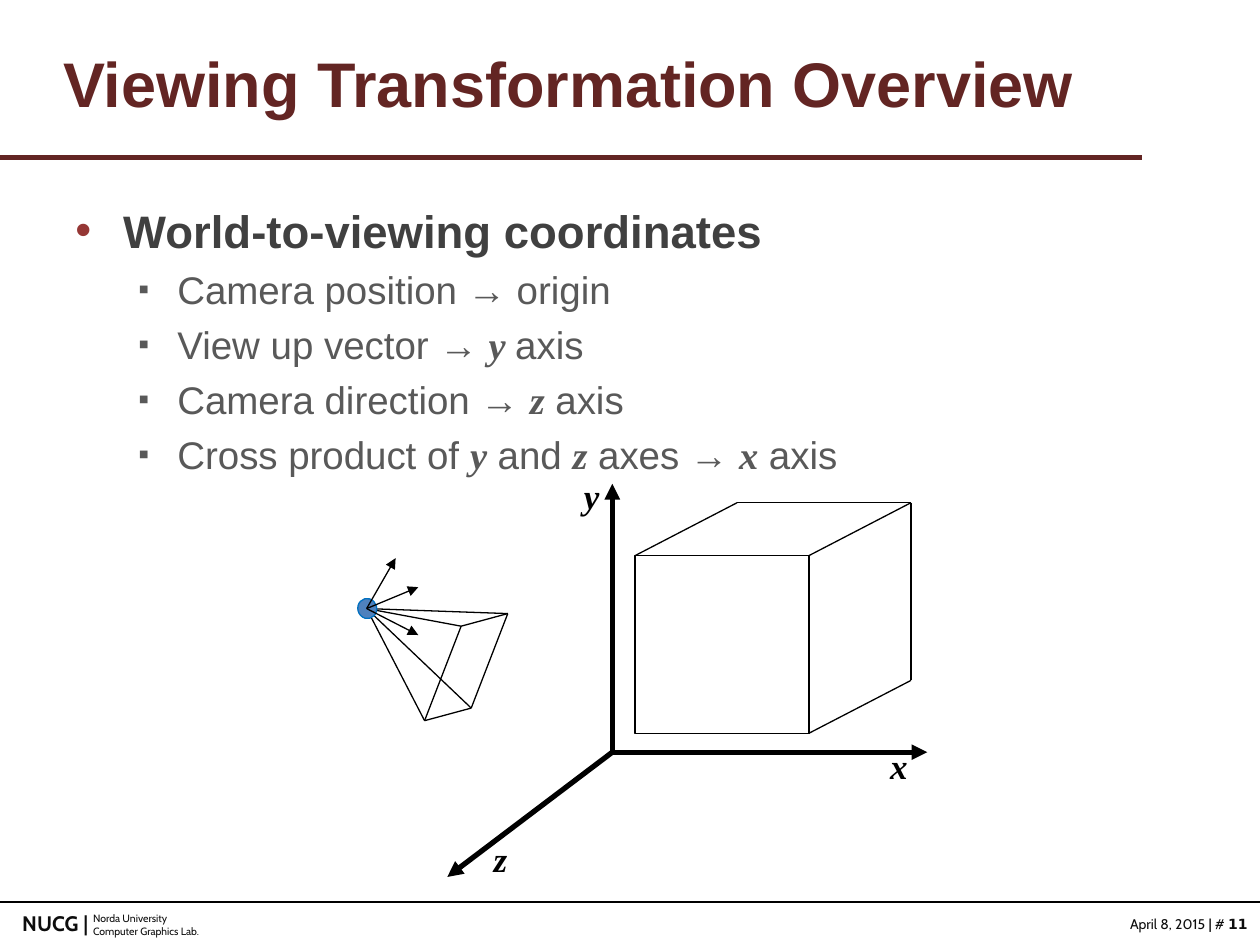
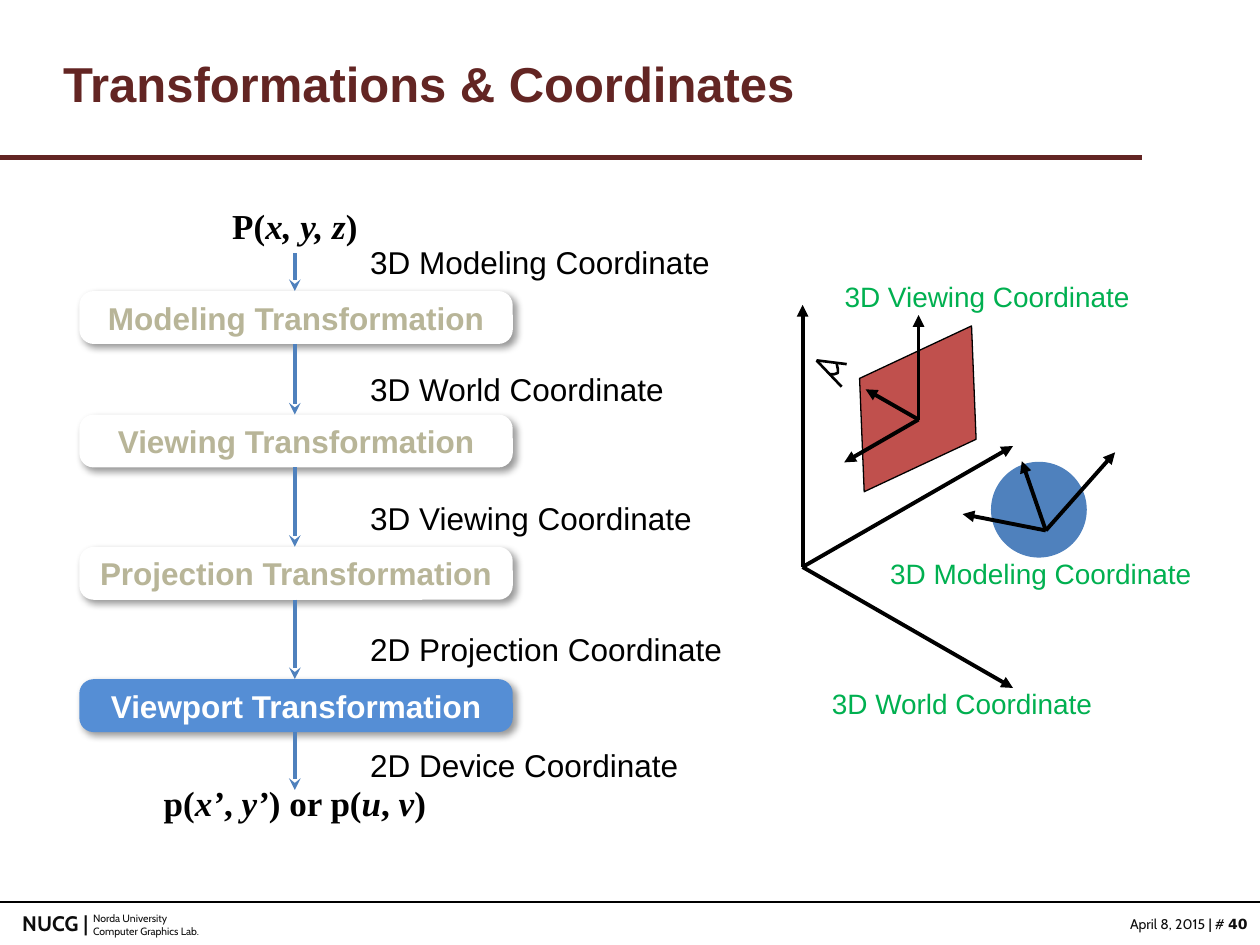
from dataclasses import dataclass, replace
from itertools import pairwise
from typing import NamedTuple

from lxml import etree
from pptx import Presentation
from pptx.dml.color import RGBColor
from pptx.enum.shapes import MSO_CONNECTOR, MSO_SHAPE
from pptx.enum.text import MSO_ANCHOR, PP_ALIGN
from pptx.oxml.ns import qn
from pptx.util import Inches, Pt

STRAIGHT = MSO_CONNECTOR.STRAIGHT
LEFT, CENTER, RIGHT = PP_ALIGN.LEFT, PP_ALIGN.CENTER, PP_ALIGN.RIGHT
MIDDLE = MSO_ANCHOR.MIDDLE

BLACK = RGBColor(0x00, 0x00, 0x00)
WHITE = RGBColor(0xFF, 0xFF, 0xFF)
MAROON = RGBColor(0x63, 0x25, 0x23)
BULLET_RED = RGBColor(0x95, 0x37, 0x35)
DARK_GRAY = RGBColor(0x40, 0x40, 0x40)
MID_GRAY = RGBColor(0x59, 0x59, 0x59)
FOOTER_INK = RGBColor(0x0D, 0x0D, 0x0D)
BLUE = RGBColor(0x4F, 0x81, 0xBD)
EYE_EDGE = RGBColor(0x00, 0x70, 0xC0)
ACTIVE_BLUE = RGBColor(0x55, 0x8E, 0xD5)
MUTED = RGBColor(0xB8, 0xB5, 0x98)
RED = RGBColor(0xC0, 0x50, 0x4D)
GREEN = RGBColor(0x00, 0xB0, 0x50)

Point = tuple[float, float]


class Box(NamedTuple):
    left: float
    top: float
    width: float
    height: float

    def emu(self) -> list[int]:
        return [Inches(v) for v in self]


@dataclass(frozen=True)
class Style:
    size: float
    color: RGBColor = BLACK
    font: str = "Arial"
    bold: bool = False
    italic: bool = False


@dataclass(frozen=True)
class Pen:
    width: float
    color: RGBColor = BLACK
    head: str = ""


class Bullet(NamedTuple):
    char: str
    color: RGBColor
    margin: float
    hanging: float
    percent: int
    space_before: float


class Stage(NamedTuple):
    name: str
    top: float
    fill: RGBColor = WHITE
    ink: RGBColor = MUTED


Runs = list[tuple[str, Style]]

MATH = Style(20, font="Times New Roman", bold=True)
MATH_VAR = replace(MATH, italic=True)
TOPIC = Style(26, DARK_GRAY, bold=True)
DETAIL = Style(22, MID_GRAY)
DETAIL_VAR = replace(MATH_VAR, size=22, color=MID_GRAY)
FOOTER = Style(8, FOOTER_INK, "Cabin")

TOPIC_BULLET = Bullet("•", BULLET_RED, 0.38, 0.38, 100, 3)
DETAIL_BULLET = Bullet("▪", MID_GRAY, 0.81, 0.31, 80, 5)

THIN = Pen(0.75)
THIN_ARROW = Pen(0.75, head="triangle")
AXIS = Pen(3, head="triangle")
FRAME_AXIS = Pen(2.25, head="triangle")
FLOW = Pen(2.25, BLUE, "stealth")
EYE_PEN = Pen(1.5)


# Text helpers
def write_runs(p, runs: Runs, align=LEFT) -> None:
    p.alignment = align
    for text, style in runs:
        r = p.add_run()
        r.text = text
        f = r.font
        f.size, f.name, f.bold, f.italic = Pt(style.size), style.font, style.bold, style.italic
        f.color.rgb = style.color


def alternate(parts: list[str], plain: Style, variable: Style) -> Runs:
    """Style every second part as a variable."""
    return [(part, variable if i % 2 else plain) for i, part in enumerate(parts)]


def add_text(slide, box: Box, *paragraphs: Runs, align=LEFT, wrap: bool = True,
             spacing: float = 1.0):
    tf = slide.shapes.add_textbox(*box.emu()).text_frame
    tf.word_wrap = wrap
    for i, runs in enumerate(paragraphs):
        p = tf.add_paragraph() if i else tf.paragraphs[0]
        write_runs(p, runs, align)
        if spacing != 1:
            p.line_spacing = spacing
    return tf


def set_bullet(p, bullet: Bullet) -> None:
    p.space_before = Pt(bullet.space_before)
    pPr = p._p.get_or_add_pPr()
    pPr.set("marL", str(Inches(bullet.margin)))
    pPr.set("indent", str(-Inches(bullet.hanging)))
    color = etree.SubElement(pPr, qn("a:buClr"))
    etree.SubElement(color, qn("a:srgbClr"), val=str(bullet.color))
    etree.SubElement(pPr, qn("a:buSzPct"), val=str(bullet.percent * 1000))
    etree.SubElement(pPr, qn("a:buFont"), typeface="Arial")
    etree.SubElement(pPr, qn("a:buChar"), char=bullet.char)


# Drawing helpers
def add_line(slide, start: Point, end: Point, pen: Pen) -> None:
    s = slide.shapes.add_connector(STRAIGHT, *[Inches(v) for v in (*start, *end)])
    s.line.color.rgb = pen.color
    s.line.width = Pt(pen.width)
    if pen.head:
        etree.SubElement(s.line._get_or_add_ln(), qn("a:tailEnd"), type=pen.head)
    etree.SubElement(s._element.spPr, qn("a:effectLst"))


def add_fan(slide, origin: Point, ends: list[Point], pen: Pen) -> None:
    for end in ends:
        add_line(slide, origin, end, pen)


def paint(s, fill: RGBColor | None, pen: Pen | None) -> None:
    s.shadow.inherit = False
    if fill is None:
        s.fill.background()
    else:
        s.fill.solid()
        s.fill.fore_color.rgb = fill
    if pen is None:
        s.line.fill.background()
    else:
        s.line.color.rgb = pen.color
        s.line.width = Pt(pen.width)


def add_shape(slide, kind, box: Box, fill: RGBColor | None, pen: Pen | None,
              rotation: float = 0, adjust: float | None = None):
    s = slide.shapes.add_shape(kind, *box.emu())
    paint(s, fill, pen)
    s.rotation = rotation
    if adjust is not None:
        s.adjustments[0] = adjust
    return s


def drop_shadow(s) -> None:
    effects = s._element.spPr.find(qn("a:effectLst"))
    shadow = etree.SubElement(effects, qn("a:outerShdw"), blurRad=str(Pt(4)),
                              dist=str(Pt(3)), dir=str(45 * 60000), algn="tl", rotWithShape="0")
    color = etree.SubElement(shadow, qn("a:srgbClr"), val=str(BLACK))
    etree.SubElement(color, qn("a:alpha"), val="40000")


# Shared title, rules and footer
def new_slide(prs, title: str, title_size: float, number: int):
    slide = prs.slides.add_slide(prs.slide_layouts[5])
    lab = replace(FOOTER, size=6)
    add_text(slide, Box(0.64, 7.19, 1.4, 0.3),
             [("Norda University", lab)], [("Computer Graphics Lab.", lab)])
    bold = replace(FOOTER, bold=True)
    add_text(slide, Box(8.5, 7.22, 1.5, 0.24),
             [("April 8, 2015 ", FOOTER), ("|", bold), (" # ", FOOTER),
              (str(number), replace(bold, font="DejaVu Sans"))], align=RIGHT)
    add_text(slide, Box(-0.04, 7.18, 0.84, 0.3), [("NUCG |", replace(bold, size=12))],
             align=RIGHT, wrap=False)
    add_line(slide, (0, 1.25), (9.06, 1.25), Pen(3, MAROON))
    add_line(slide, (0, 7.16), (10, 7.16), Pen(1))

    s = slide.shapes.title
    s.left, s.top, s.width, s.height = Box(0.3, 0.22, 9, 0.87).emu()
    tf = s.text_frame
    tf.margin_left = Inches(0.2)
    tf.vertical_anchor = MIDDLE
    write_runs(tf.paragraphs[0], [(title, Style(title_size, MAROON, bold=True))])
    return slide


# Slide: viewing transformation
def build_overview(prs) -> None:
    slide = new_slide(prs, "Viewing Transformation Overview", 36, 11)
    details = [
        ["Camera position → origin"],
        ["View up vector → ", "y ", "axis"],
        ["Camera direction → ", "z", " axis"],
        ["Cross product of ", "y", " and ", "z", " axes → ", "x", " axis"],
    ]
    tf = add_text(slide, Box(0.5, 1.56, 9, 5.31), [("World-to-viewing coordinates", TOPIC)],
                  *[alternate(parts, DETAIL, DETAIL_VAR) for parts in details])
    for i, p in enumerate(tf.paragraphs):
        set_bullet(p, DETAIL_BULLET if i else TOPIC_BULLET)

    # World axes
    add_fan(slide, (4.86, 5.97), [(4.86, 3.84), (7.36, 5.97), (3.55, 6.96)], AXIS)
    for name, left, top, align in [("x", 6.83, 5.86, CENTER), ("y", 4.39, 3.72, CENTER),
                                   ("z", 3.82, 6.6, LEFT)]:
        add_text(slide, Box(left, top, 0.61, 0.43), [(name, MATH_VAR)], align=align)

    # Cube: front face and receding edges
    front = Box(5.04, 4.41, 1.38, 1.41)
    add_shape(slide, MSO_SHAPE.RECTANGLE, front, None, THIN)
    right, bottom = front.left + front.width, front.top + front.height
    near = [(front.left, front.top), (right, front.top), (right, bottom)]
    far = [(x + 0.81, y - 0.42) for x, y in near]
    for start, end in [*zip(near, far), *pairwise(far)]:
        add_line(slide, start, end, THIN)

    # Camera and its view pyramid
    eye = (2.91, 4.83)
    base = [(3.37, 5.72), (3.66, 4.97), (4.03, 4.87), (3.74, 5.62)]
    add_fan(slide, eye, base, THIN)
    for start, end in pairwise([*base, base[0]]):
        add_line(slide, start, end, THIN)
    add_shape(slide, MSO_SHAPE.OVAL, Box(2.84, 4.75, 0.15, 0.16), BLUE, Pen(0.75, EYE_EDGE),
              rotation=345.5)
    add_fan(slide, eye, [(3.14, 4.43), (3.32, 5.04), (3.32, 4.66)], THIN_ARROW)


# Slide: pipeline and coordinate systems
def build_pipeline(prs) -> None:
    slide = new_slide(prs, "Transformations & Coordinates", 28, 40)
    stages = [
        Stage("Modeling Transformation", 2.31),
        Stage("Viewing Transformation", 3.29),
        Stage("Projection Transformation", 4.34),
        Stage("Viewport Transformation", 5.39, ACTIVE_BLUE, WHITE),
    ]
    stage_height = 0.42
    for stage in stages:
        s = add_shape(slide, MSO_SHAPE.ROUNDED_RECTANGLE,
                      Box(0.63, stage.top, 3.44, stage_height), stage.fill, None, adjust=0.27)
        drop_shadow(s)
        tf = s.text_frame
        tf.word_wrap = False
        tf.vertical_anchor = MIDDLE
        write_runs(tf.paragraphs[0], [(stage.name, Style(18, stage.ink, bold=True))], CENTER)

    # Coordinate systems in three dimensions
    add_fan(slide, (6.37, 4.5), [(6.37, 2.42), (8.04, 5.46), (8.04, 3.54)], FRAME_AXIS)
    add_shape(slide, MSO_SHAPE.OVAL, Box(7.87, 3.67, 0.75, 0.75), BLUE, Pen(0.75, BLUE))
    add_fan(slide, (8.3, 4.21), [(8.85, 3.59), (7.64, 4.08), (8.11, 3.66)], FRAME_AXIS)
    add_shape(slide, MSO_SHAPE.PARALLELOGRAM, Box(6.62, 2.83, 1.33, 0.83), RED, THIN,
              rotation=334.9, adjust=0.42)
    add_fan(slide, (7.29, 3.33), [(7.29, 2.5), (6.7, 3.67), (6.87, 3.09)], FRAME_AXIS)

    # Eye
    add_fan(slide, (6.48, 2.86), [(6.72, 2.89), (6.68, 3.07)], EYE_PEN)
    lens = [(6.58, 2.97), (6.62, 2.97), (6.65, 2.96), (6.65, 2.93), (6.64, 2.88)]
    points = [(Inches(x), Inches(y)) for x, y in lens]
    fb = slide.shapes.build_freeform(*points[0])
    fb.add_line_segments(points[1:], close=False)
    paint(fb.convert_to_shape(), None, EYE_PEN)

    for name, box in [("3D Viewing Coordinate", Box(6.53, 2.17, 2.61, 0.37)),
                      ("3D World Coordinate", Box(6.44, 5.4, 2.39, 0.37)),
                      ("3D Modeling Coordinate", Box(6.95, 4.37, 2.62, 0.37))]:
        add_text(slide, box, [(name, Style(16, GREEN))], align=CENTER)

    # Input and output points
    add_text(slide, Box(1.74, 1.64, 1.2, 0.37), alternate(["P(", "x, y, z", ")"], MATH, MATH_VAR),
             align=CENTER, wrap=False, spacing=0.8)
    result = ["p(", "x’", ", ", "y’", ") or p(", "u", ", ", "v", ")"]
    add_text(slide, Box(1.19, 6.27, 2.3, 0.3), alternate(result, MATH, MATH_VAR),
             align=CENTER, wrap=False, spacing=0.6)

    # Flow arrows and the coordinates they carry
    starts = [2.01] + [stage.top + stage_height for stage in stages]
    ends = [stage.top for stage in stages] + [6.27]
    for start, end in zip(starts, ends):
        add_line(slide, (2.34, start), (2.34, end), FLOW)
    for name, top in [("3D Modeling", 1.88), ("3D World", 2.89), ("3D Viewing", 3.91),
                      ("2D Projection", 4.95), ("2D Device", 5.87)]:
        add_text(slide, Box(2.84, top, 3.34, 0.42), [(f"{name} Coordinate", Style(18))])


def main() -> None:
    prs = Presentation()
    prs.slide_width, prs.slide_height = Inches(10), Inches(7.5)
    build_overview(prs)
    build_pipeline(prs)
    prs.save("out.pptx")


if __name__ == "__main__":
    main()
